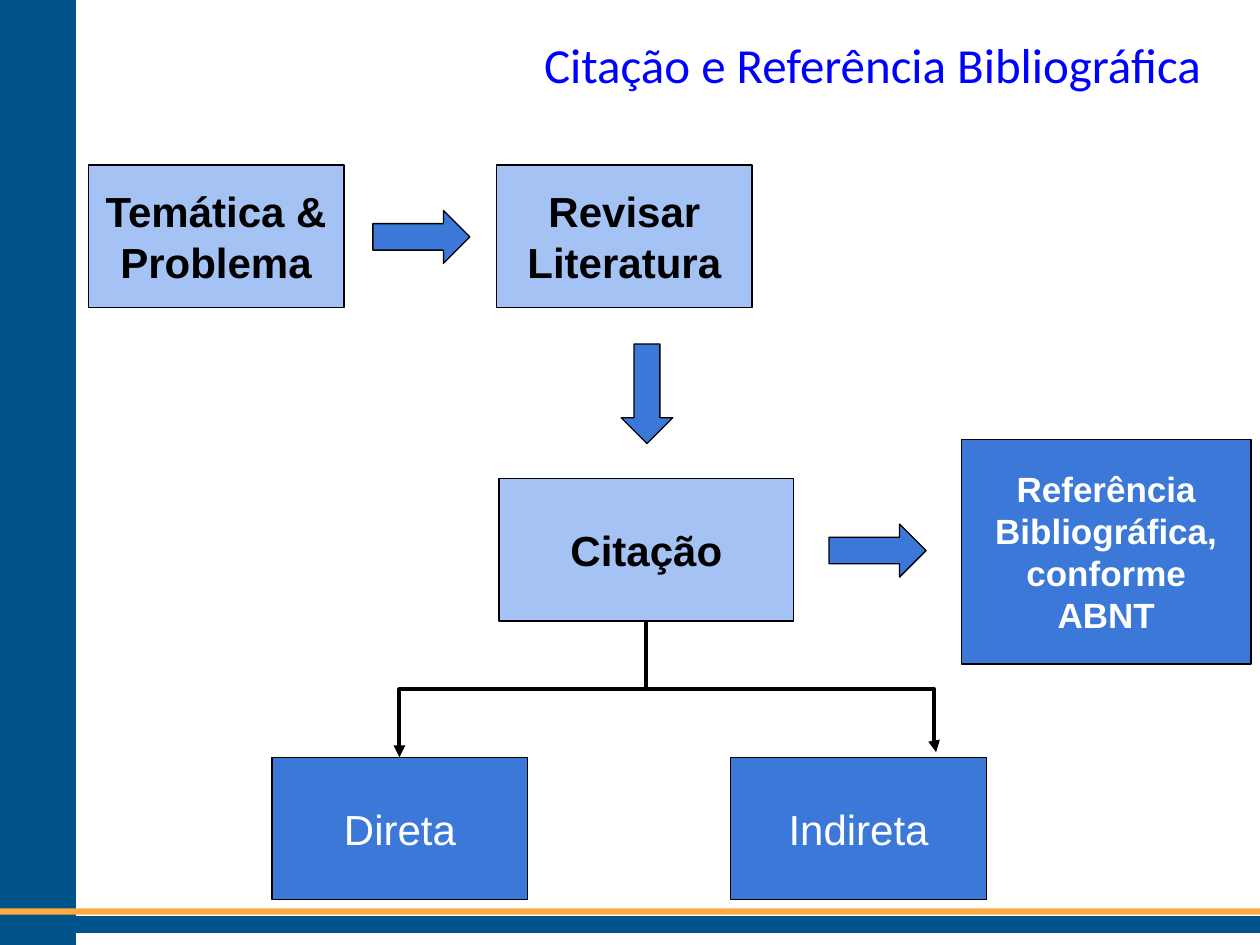
from pptx import Presentation
from pptx.dml.color import RGBColor
from pptx.enum.shapes import MSO_CONNECTOR, MSO_SHAPE
from pptx.enum.text import MSO_ANCHOR, PP_ALIGN
from pptx.oxml.ns import qn
from pptx.util import Inches, Pt
from lxml import etree

NAVY, ORANGE = "005388", "FFAB40"
BLUE, LIGHT = "3C78D8", "A4C2F4"
BLACK, WHITE, TITLE_BLUE = "000000", "FFFFFF", "0000FF"


def rgb(value):
    return RGBColor.from_string(value)


def draw_shape(slide, kind, box, fill, line=BLACK, width=0.75):
    shape = slide.shapes.add_shape(kind, *map(Inches, box))
    shape.shadow.inherit = False
    shape.fill.solid()
    shape.fill.fore_color.rgb = rgb(fill)
    if line:
        shape.line.color.rgb = rgb(line)
        shape.line.width = Pt(width)
    else:
        shape.line.fill.background()
    return shape


def write(shape, lines, align, color, **font_format):
    frame = shape.text_frame
    frame.word_wrap = True
    for side in ("left", "top", "right", "bottom"):
        setattr(frame, f"margin_{side}", Inches(0.1))
    frame.text = "\n".join(lines)
    for paragraph in frame.paragraphs:
        paragraph.alignment = align
        for name, value in font_format.items():
            setattr(paragraph.font, name, value)
        paragraph.font.color.rgb = rgb(color)


def draw_frame(slide, width, height):
    # Side band and the two bottom rules
    rect = MSO_SHAPE.RECTANGLE
    draw_shape(slide, rect, (0, 0, 0.6, height), NAVY, NAVY, 1)
    draw_shape(slide, rect, (0, height - 0.22, width, 0.12), NAVY, NAVY, 1)
    draw_shape(slide, rect, (0, height - 0.29, width, 0.05), ORANGE, None)


def draw_title(slide, box):
    title = slide.shapes.add_textbox(*map(Inches, box))
    write(title, ["Citação e Referência Bibliográfica"], PP_ALIGN.RIGHT,
          TITLE_BLUE, name="Calibri", size=Pt(28))


def draw_step(slide, box, lines, fill, color, size=24, bold=True):
    step = draw_shape(slide, MSO_SHAPE.RECTANGLE, box, fill)
    step.text_frame.vertical_anchor = MSO_ANCHOR.MIDDLE
    write(step, lines, PP_ALIGN.CENTER, color,
          name="Arial", size=Pt(size), bold=bold)


def draw_branch(slide, box, bend, rotation=0):
    # Elbow from the top left to the bottom right of its box, then turned
    left, top, width, height = box
    branch = slide.shapes.add_connector(
        MSO_CONNECTOR.ELBOW, Inches(left), Inches(top),
        Inches(left + width), Inches(top + height))
    branch.line.color.rgb = rgb(BLACK)
    branch.line.width = Pt(2.25)
    properties = branch._element.spPr
    properties.find(qn("a:xfrm")).set("rot", str(rotation * 60000))
    guides = properties.find(qn("a:prstGeom")).get_or_add_avLst()
    etree.SubElement(guides, qn("a:gd"), name="adj1",
                     fmla=f"val {round(bend * 100000)}")
    line = properties.find(qn("a:ln"))
    etree.SubElement(line, qn("a:tailEnd"), type="triangle")
    etree.SubElement(properties, qn("a:effectLst"))


def draw_flow(slide, box):
    left, top, width, height = box
    step_w, step_h = 2.03, 1.13
    citation_left, citation_top, citation_w = left + 3.26, top + 2.49, 2.34
    kinds_top = top + height - step_h

    # Citation kinds
    for kind, x in (("Direta", 1.46), ("Indireta", 5.1)):
        draw_step(slide, (left + x, kinds_top, step_w, step_h), [kind],
                  BLUE, WHITE, bold=False)

    # Citation and its branches
    draw_step(slide, (citation_left, citation_top, citation_w, step_h),
              ["Citação"], LIGHT, BLACK)
    fork_x = citation_left + citation_w / 2
    fork_y = citation_top + step_h
    drop, reach = kinds_top - fork_y, 1.96
    center_x, center_y = fork_x - reach / 2, fork_y + drop / 2
    draw_branch(slide, (center_x - drop / 2, center_y - reach / 2,
                        drop, reach), 0.5, 90)
    draw_branch(slide, (fork_x, center_y, 2.3, 0.5), 0.994)

    # Research steps
    for lines, x in ((["Temática &", "Problema"], 0),
                     (["Revisar Literatura"], 3.24)):
        draw_step(slide, (left + x, top, step_w, step_h), lines, LIGHT, BLACK)

    # Reference
    draw_step(slide, (left + width - 2.3, top + 2.18, 2.3, 1.78),
              ["Referência Bibliográfica,", "conforme ABNT"],
              BLUE, WHITE, size=20)

    # Block arrows
    for kind, x, y, w, h in (
            (MSO_SHAPE.RIGHT_ARROW, 2.26, 0.36, 0.77, 0.42),
            (MSO_SHAPE.DOWN_ARROW, 4.23, 1.42, 0.41, 0.79),
            (MSO_SHAPE.RIGHT_ARROW, 5.88, 2.85, 0.77, 0.42)):
        draw_shape(slide, kind, (left + x, top + y, w, h), BLUE)


def main():
    deck = Presentation()
    deck.slide_width, deck.slide_height = Inches(10), Inches(7.5)
    slide = deck.slides.add_slide(deck.slide_layouts[6])
    draw_frame(slide, 10, 7.5)
    draw_flow(slide, (0.7, 1.31, 9.23, 5.83))
    draw_title(slide, (1.63, 0.17, 8, 0.78))
    deck.save("out.pptx")


if __name__ == "__main__":
    main()
